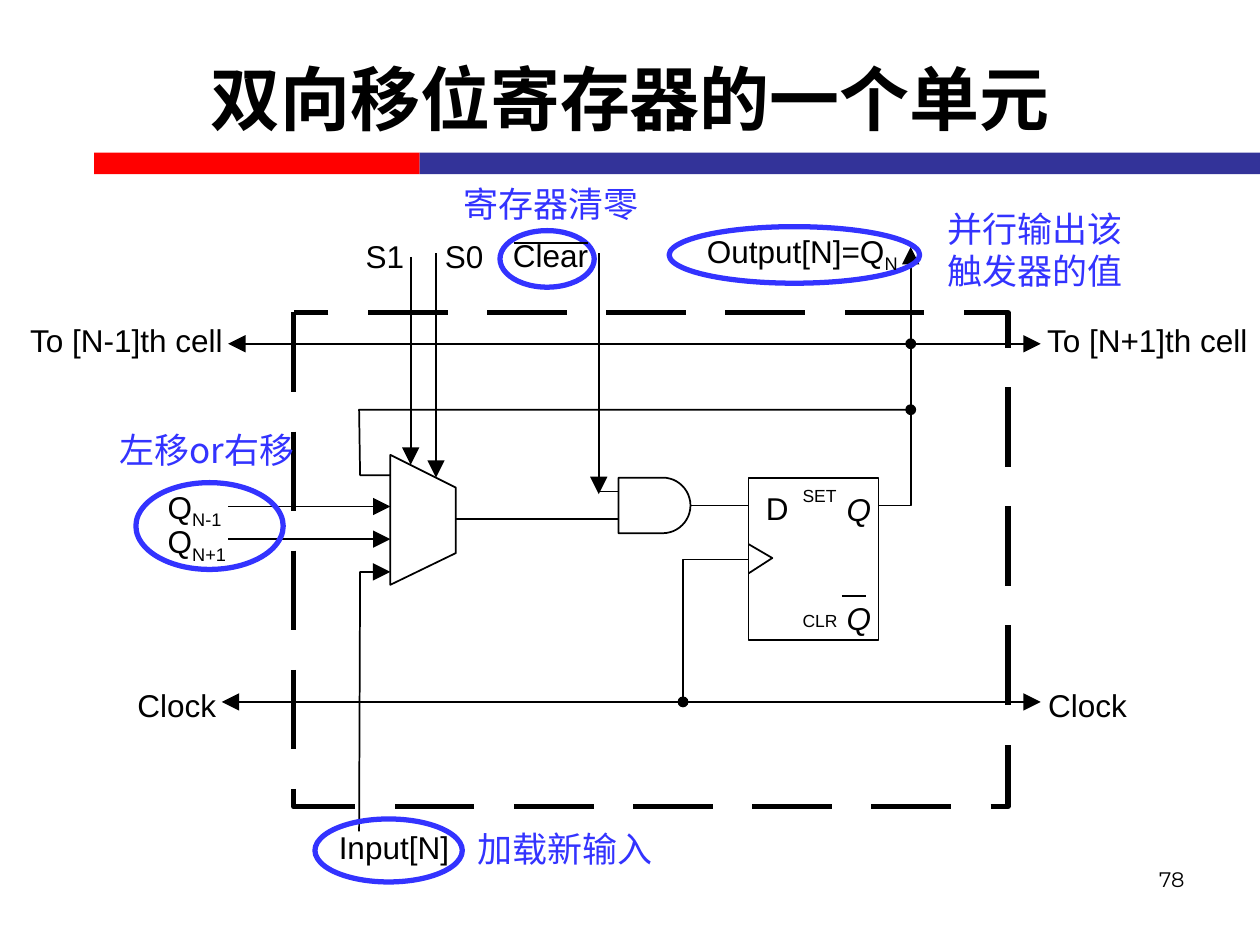
from math import cos, pi, sin

from lxml.etree import SubElement
from pptx import Presentation
from pptx.dml.color import RGBColor
from pptx.enum.shapes import MSO_CONNECTOR as Connector, MSO_SHAPE as Shape
from pptx.enum.text import MSO_ANCHOR as Anchor, PP_ALIGN as Align
from pptx.oxml.ns import qn
from pptx.util import Cm, Pt

BLACK, WHITE, BLUE = "000000", "FFFFFF", "3333FF"
CJK = "Noto Sans CJK SC"
colour = RGBColor.from_string


def write_text(shape, text, size=18, font="Arial", color=BLACK, bold=False, italic=False,
               align=Align.LEFT, subscript="", spacing=None, margins=True, wrap=True):
    frame = shape.text_frame
    frame.word_wrap = wrap
    if not margins:
        frame.margin_left = frame.margin_right = frame.margin_top = frame.margin_bottom = 0
    paragraph = frame.paragraphs[0]
    paragraph.alignment = align
    if spacing:
        paragraph.line_spacing = Pt(spacing)
    for part in filter(None, (text, subscript)):
        run = paragraph.add_run()
        run.text = part
        run.font.name, run.font.size = font, Pt(size)
        run.font.bold, run.font.italic = bold, italic
        run.font.color.rgb = colour(color)
        properties = run.font._element
        SubElement(properties, qn("a:ea")).set("typeface", CJK)
        if part == subscript:
            properties.set("baseline", "-25000")


def draw_outline(points, closed=False, fill=None, width=1):
    (x, y), *others = [(Cm(px), Cm(py)) for px, py in points]
    builder = slide.shapes.build_freeform(x, y)
    builder.add_line_segments(others, close=closed)
    shape = builder.convert_to_shape()
    shape.shadow.inherit = False
    if fill:
        shape.fill.solid()
        shape.fill.fore_color.rgb = colour(fill)
    else:
        shape.fill.background()
    shape.line.color.rgb = colour(BLACK)
    shape.line.width = Pt(width)
    return shape


presentation = Presentation()
presentation.slide_width, presentation.slide_height = Cm(25.4), Cm(19.05)
slide = presentation.slides.add_slide(presentation.slide_layouts[5])

# Title and slide number
title = slide.shapes.title
title.left, title.top, title.width, title.height = Cm(1.27), Cm(0.38), Cm(22.86), Cm(3.18)
title.text_frame.vertical_anchor = Anchor.MIDDLE
write_text(title, "双向移位寄存器的一个单元", size=40, bold=True, align=Align.CENTER)
number = slide.shapes.add_textbox(Cm(18.21), Cm(17.35), Cm(5.92), Cm(1.32))
write_text(number, "78", size=12, font="Montserrat", align=Align.RIGHT)

# Wires: points, arrow at the start, arrow at the end
clock_y, cell_y, feedback_y, output_x = 14.15, 6.93, 8.26, 18.36
clock_x, mux_left, mux_right, gate_left = 13.77, 7.87, 9.19, 12.47
flip_left, flip_top, flip_width, flip_height = 15.09, 9.63, 2.62, 3.28
q_y = 10.19
wires = [
    ([(4.47, clock_y), (20.98, clock_y)], True, True),
    ([(4.6, cell_y), (20.98, cell_y)], True, True),
    ([(flip_left, 11.28), (clock_x, 11.28), (clock_x, clock_y)], False, False),
    ([(flip_left + flip_width, q_y), (output_x, q_y), (output_x, 4.98)], False, True),
    ([(mux_left, 9.58), (7.26, 9.58), (7.24, feedback_y), (output_x, feedback_y)], False, False),
    ([(4.6, 10.21), (mux_left, 10.21)], False, True),
    ([(4.6, 10.87), (mux_left, 10.87)], False, True),
    ([(7.24, 16.76), (7.26, 11.53), (mux_left, 11.53)], False, True),
    ([(8.28, 5.18), (8.28, 9.37)], False, True),
    ([(8.79, 5.11), (8.79, 9.63)], False, True),
    ([(12.07, 5.11), (12.07, 9.96)], False, True),
    ([(12.07, 9.91), (gate_left, 9.91)], False, False),
    ([(mux_right, 10.46), (gate_left, 10.46)], False, False),
    ([(13.92, q_y), (flip_left, q_y)], False, False),
]
for points, start_arrow, end_arrow in wires:
    if len(points) == 2:
        ends = [Cm(value) for point in points for value in point]
        wire = slide.shapes.add_connector(Connector.STRAIGHT, *ends)
        wire.line.color.rgb = colour(BLACK)
        wire.line.width = Pt(1)
        SubElement(wire._element.spPr, qn("a:effectLst"))
    else:
        wire = draw_outline(points)
    line = wire._element.spPr.find(qn("a:ln"))
    for tag, wanted in (("a:headEnd", start_arrow), ("a:tailEnd", end_arrow)):
        if wanted:
            arrow = SubElement(line, qn(tag))
            for key, value in (("type", "triangle"), ("w", "lg"), ("len", "lg")):
                arrow.set(key, value)

# Multiplexer and AND gate
draw_outline([(mux_right, 9.83), (mux_left, 9.17), (mux_left, 11.79), (mux_right, 11.15)],
             closed=True, fill=WHITE)
radius, steps = 0.56, 24
arc = [(13.36 + radius * sin(pi * step / steps), q_y - radius * cos(pi * step / steps))
       for step in range(steps + 1)]
draw_outline([(gate_left, q_y - radius), *arc, (gate_left, q_y + radius)],
             closed=True, fill=WHITE)

# Colour bars, flip-flop, junction dots and highlight rings
dot = 0.22
shapes = [
    (Shape.RECTANGLE, 1.9, 3.08, 6.56, 0.43, "FF0000", None, 0),
    (Shape.RECTANGLE, 8.46, 3.08, 16.94, 0.43, "333399", None, 0),
    (Shape.RECTANGLE, flip_left, flip_top, flip_width, flip_height, WHITE, BLACK, 1),
    (Shape.OVAL, 2.74, 9.73, 2.97, 1.75, None, BLUE, 3),
    (Shape.OVAL, 10.08, 4.65, 1.9, 1.14, None, BLUE, 3),
    (Shape.OVAL, 6.35, 16.51, 2.97, 1.27, None, BLUE, 3),
    (Shape.OVAL, 13.49, 4.57, 5.05, 1.14, None, BLUE, 3),
]
for x, y in ((output_x, cell_y), (output_x, feedback_y), (clock_x, clock_y)):
    shapes.append((Shape.OVAL, x - dot / 2, y - dot / 2, dot, dot, BLACK, None, 0))
for kind, left, top, width, height, fill, outline, weight in shapes:
    shape = slide.shapes.add_shape(kind, Cm(left), Cm(top), Cm(width), Cm(height))
    shape.shadow.inherit = False
    if fill:
        shape.fill.solid()
        shape.fill.fore_color.rgb = colour(fill)
    else:
        shape.fill.background()
    if outline:
        shape.line.color.rgb = colour(outline)
        shape.line.width = Pt(weight)
    else:
        shape.line.fill.background()

# Clock notch of the flip-flop
draw_outline([(flip_left, 10.97), (15.57, 11.25), (flip_left, 11.56)])

# Bars over Clear and the inverted Q
for left, right, y, weight in ((10.36, 11.86, 4.9, 1.5), (16.97, 17.45, 12.01, 1)):
    bar = slide.shapes.add_connector(Connector.STRAIGHT, Cm(left), Cm(y), Cm(right), Cm(y))
    bar.line.color.rgb = colour(BLACK)
    bar.line.width = Pt(weight)
    SubElement(bar._element.spPr, qn("a:effectLst"))

# Dashed cell border, with dashes running down from the top left corner
border = draw_outline([(5.92, 6.3), (5.92, 16.26), (20.32, 16.26), (20.32, 6.3)],
                      closed=True, width=3)
dashes = SubElement(border._element.spPr.find(qn("a:ln")), qn("a:custDash"))
dash = SubElement(dashes, qn("a:ds"))
dash.set("d", "1510000")
dash.set("sp", "755000")

# Signal labels
labels = [
    ("Q", 17.07, 12.07, 0.51, {"italic": True}),
    ("Q", 17.07, 9.88, 0.51, {"italic": True}),
    ("SET", 16.18, 9.78, 0.69, {"size": 10}),
    ("CLR", 16.18, 12.29, 0.71, {"size": 10}),
    ("D", 15.44, 9.86, 0.46, {}),
    ("Clock", 21.13, 13.82, 1.6, {}),
    ("Clock", 2.77, 13.82, 1.6, {}),
    ("Output[N]=Q", 14.25, 4.67, 3.94, {"subscript": "N"}),
    ("Q", 3.38, 9.83, 1.19, {"subscript": "N-1"}),
    ("Q", 3.38, 10.52, 1.3, {"subscript": "N+1"}),
    ("Clear", 10.34, 4.75, 1.52, {}),
    ("Input[N]", 6.83, 16.69, 2.24, {}),
    ("To [N+1]th cell", 21.11, 6.48, 4.09, {}),
    ("To [N-1]th cell", 0.61, 6.48, 3.91, {}),
    ("S1", 7.37, 4.78, 0.79, {}),
    ("S0", 8.97, 4.78, 0.79, {}),
]
for text, left, top, width, style in labels:
    height = 0.43 if "size" in style else 0.86
    label = slide.shapes.add_textbox(Cm(left), Cm(top), Cm(width), Cm(height))
    write_text(label, text, margins=False, wrap=False, **style)

# Blue remarks
remarks = [
    ("左移or右移", 1.57, 8.51, 5.21, 1.12, Align.CENTER),
    ("寄存器清零", 8.38, 3.56, 5.46, 1.12, Align.CENTER),
    ("加载新输入", 9.37, 16.56, 6.4, 1.12, Align.LEFT),
    ("并行输出该触发器的值", 18.85, 4.06, 4.47, 1.96, Align.LEFT),
]
for text, left, top, width, height, align in remarks:
    remark = slide.shapes.add_textbox(Cm(left), Cm(top), Cm(width), Cm(height))
    write_text(remark, text, size=20, font=CJK, color=BLUE, align=align, spacing=24)

presentation.save("out.pptx")
